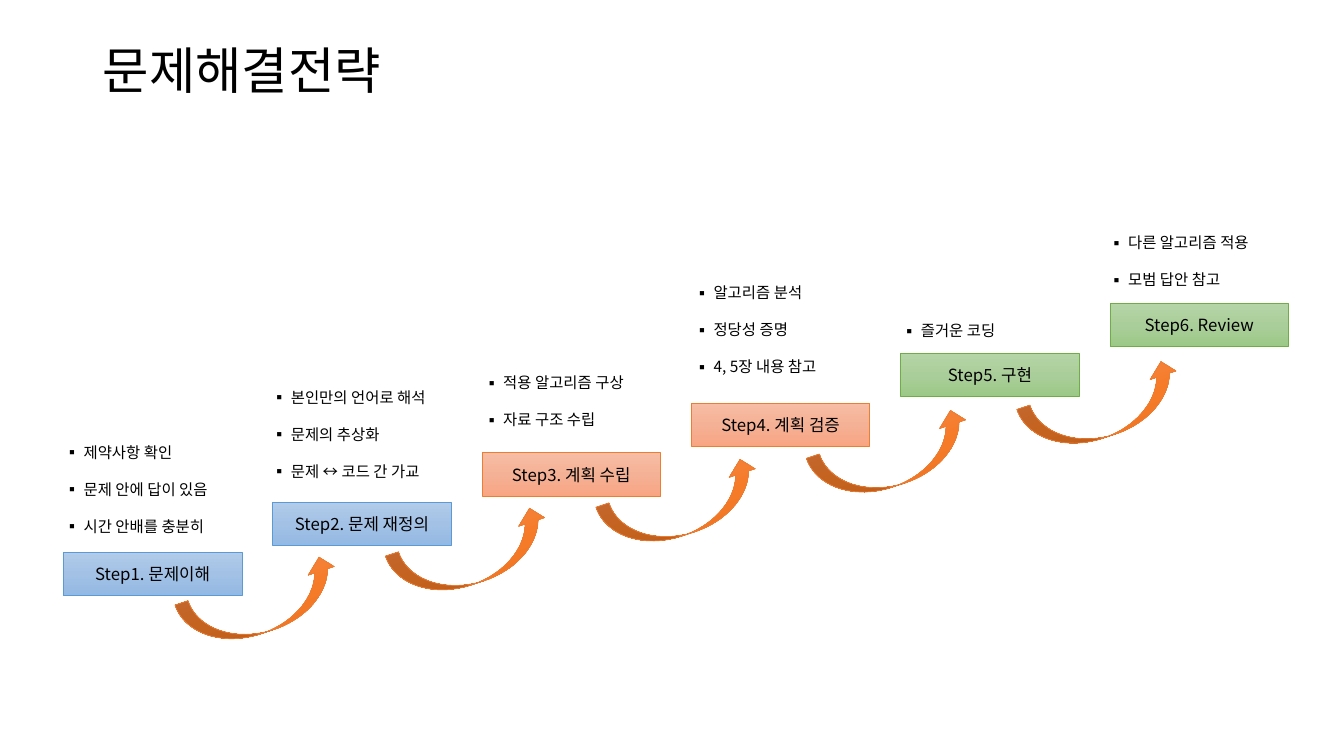
"""Builds a slide with six problem-solving steps rising like a staircase."""
from copy import deepcopy

from lxml.etree import SubElement
from pptx import Presentation
from pptx.dml.color import RGBColor
from pptx.enum.shapes import MSO_SHAPE
from pptx.enum.text import MSO_ANCHOR, MSO_AUTO_SIZE, PP_ALIGN
from pptx.oxml.ns import qn
from pptx.util import Inches, Pt

FONT = "Noto Sans CJK KR"
BLACK = RGBColor(0x00, 0x00, 0x00)


def palette(line, *stops):
    return RGBColor.from_string(line), [RGBColor.from_string(stop) for stop in stops]


BLUE = palette("5B9BD5", "B1CBE9", "A3C1E5", "93B9E4")
ORANGE = palette("ED7D31", "F7BDA5", "F5B196", "F8A582")
GREEN = palette("70AD47", "B5D5A7", "AACE9A", "9CC987")
ARROW = palette("ED7D31", "F18C57", "F67B28", "E56C19")

TITLE = "문제해결전략"
# Each step: label, colours, bullets, bullet offset to the left, gap above the box
STEPS = [
    ("Step1. 문제이해", BLUE, ["제약사항 확인", "문제 안에 답이 있음", "시간 안배를 충분히"], 0.09, 0.11),
    ("Step2. 문제 재정의", BLUE, ["본인만의 언어로 해석", "문제의 추상화", "문제 ↔ 코드 간 가교"], 0.11, 0.16),
    ("Step3. 계획 수립", ORANGE, ["적용 알고리즘 구상", "자료 구조 수립"], 0.08, 0.18),
    ("Step4. 계획 검증", ORANGE, ["알고리즘 분석", "정당성 증명", "4, 5장 내용 참고"], 0.07, 0.21),
    ("Step5. 구현", GREEN, ["즐거운 코딩"], 0.09, 0.08),
    ("Step6. Review", GREEN, ["다른 알고리즘 적용", "모범 답안 참고"], 0.11, 0.09),
]

BOX_SIZE = (1.77, 0.43)
BOX_FIRST, BOX_LAST = (0.63, 5.48), (11.01, 3.01)
ARROW_SIZE = (1.64, 0.54)
ARROW_FIRST, ARROW_LAST = (1.78, 5.73), (10.13, 3.79)
ARROW_ROTATION = 341.6
NOTE_WIDTH, NOTE_LINE, NOTE_MARGIN = 1.88, 0.37, 0.1
BULLET_INDENT = Inches(0.19)


def staircase(first, last, count):
    """Yield evenly spaced positions from first to last."""
    for index in range(count):
        share = index / (count - 1)
        yield tuple(start + (end - start) * share for start, end in zip(first, last))


def style_text(paragraph, size):
    font = paragraph.font
    font.size = Pt(size)
    font.color.rgb = BLACK
    font.name = FONT
    properties = paragraph._p.pPr.find(qn("a:defRPr"))
    SubElement(properties, qn("a:ea"), typeface=FONT)


def add_gradient_shape(slide, kind, position, size, colours):
    shape = slide.shapes.add_shape(kind, *map(Inches, position + size))
    shape.shadow.inherit = False
    line_colour, stop_colours = colours
    shape.line.color.rgb = line_colour
    shape.line.width = Pt(0.5)
    fill = shape.fill
    fill.gradient()
    fill.gradient_angle = 270
    stop_list = shape._element.spPr.find(qn("a:gradFill")).find(qn("a:gsLst"))
    stop_list.insert(1, deepcopy(stop_list[0]))
    for stop, colour, place in zip(fill.gradient_stops, stop_colours, (0, 0.5, 1)):
        stop.color.rgb = colour
        stop.position = place
    return shape


def add_notes(slide, left, bottom, lines):
    height = NOTE_MARGIN + NOTE_LINE * len(lines)
    box = slide.shapes.add_textbox(*map(Inches, (left, bottom - height, NOTE_WIDTH, height)))
    frame = box.text_frame
    frame.word_wrap = True
    frame.auto_size = MSO_AUTO_SIZE.SHAPE_TO_FIT_TEXT
    frame.text = "\n".join(lines)
    for paragraph in frame.paragraphs:
        paragraph.line_spacing = 2.0
        properties = paragraph._p.get_or_add_pPr()
        properties.set("marL", str(BULLET_INDENT))
        properties.set("indent", str(-BULLET_INDENT))
        SubElement(properties, qn("a:buFont"), typeface=FONT)
        SubElement(properties, qn("a:buChar"), char="▪")
        style_text(paragraph, 11)


def add_title(slide):
    title = slide.shapes.title
    title.left, title.top, title.width, title.height = map(Inches, (0.92, 0.4, 11.5, 0.66))
    title.text_frame.text = TITLE
    title.text_frame.vertical_anchor = MSO_ANCHOR.MIDDLE
    paragraph = title.text_frame.paragraphs[0]
    paragraph.alignment = PP_ALIGN.LEFT
    paragraph.line_spacing = 0.9
    style_text(paragraph, 36)


def main():
    presentation = Presentation()
    presentation.slide_width, presentation.slide_height = Inches(13.33), Inches(7.5)
    slide = presentation.slides.add_slide(presentation.slide_layouts[5])
    add_title(slide)

    positions = staircase(BOX_FIRST, BOX_LAST, len(STEPS))
    for (label, colours, lines, offset, gap), (left, top) in zip(STEPS, positions):
        box = add_gradient_shape(slide, MSO_SHAPE.RECTANGLE, (left, top), BOX_SIZE, colours)
        box.text_frame.text = label
        box.text_frame.vertical_anchor = MSO_ANCHOR.MIDDLE
        paragraph = box.text_frame.paragraphs[0]
        paragraph.alignment = PP_ALIGN.CENTER
        style_text(paragraph, 12)
        add_notes(slide, left - offset, top - gap, lines)

    for position in staircase(ARROW_FIRST, ARROW_LAST, len(STEPS) - 1):
        arrow = add_gradient_shape(slide, MSO_SHAPE.CURVED_UP_ARROW, position, ARROW_SIZE, ARROW)
        arrow.rotation = ARROW_ROTATION

    presentation.save("out.pptx")


if __name__ == "__main__":
    main()
